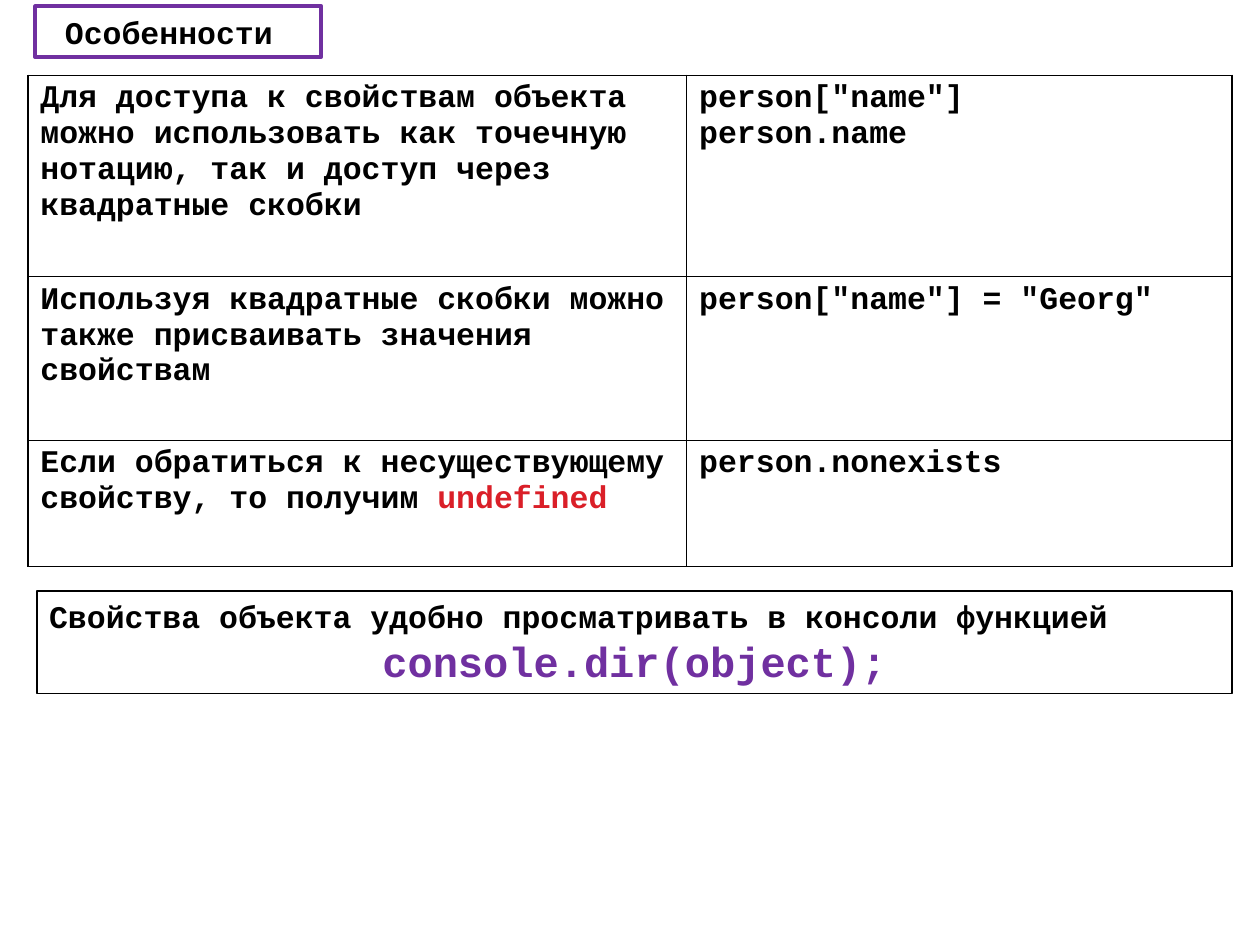
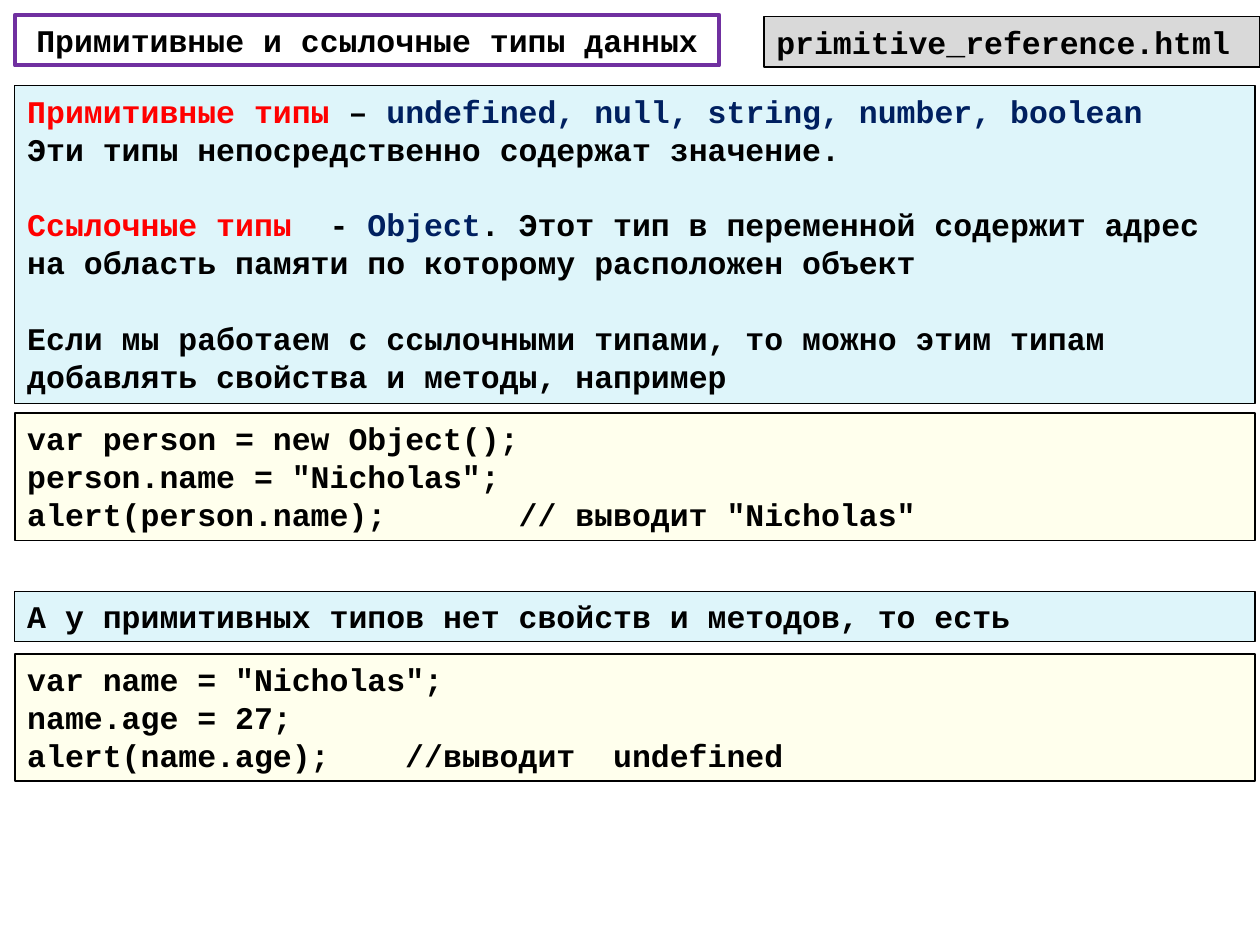
from lxml.etree import SubElement
from pptx import Presentation
from pptx.dml.color import RGBColor
from pptx.enum.shapes import MSO_SHAPE
from pptx.enum.text import MSO_ANCHOR, PP_ALIGN
from pptx.oxml.ns import qn
from pptx.util import Cm, Pt

COLORS = {
    "black": "000000", "white": "FFFFFF", "purple": "7030A0", "red": "FF0000",
    "crimson": "DA1F28", "navy": "002060", "pale_blue": "DEF5FA",
    "yellow": "FFFF00", "gray": "D9D9D9",
}
FONT = {"name": "Courier New", "bold": True}
FRAME = {"word_wrap": True, "vertical_anchor": MSO_ANCHOR.TOP}
PLAIN_TABLE = {"first_row": False, "horz_banding": False}
BODY_SIZE = 18
LINE_FACTOR = 1.2
CHARACTER_WIDTH = 0.381

BOX_STYLES = {
    "title": {"fill": None, "line": "purple", "width": 2.25},
    "file": {"fill": "gray", "line": "black", "width": 0.75},
    "theory": {"fill": "pale_blue", "line": "black", "width": 0.75},
    "code": {"fill": "yellow", "line": "black", "width": 1, "opacity": 7},
    "note": {"fill": "white", "line": "black", "width": 1},
}


def color(name):
    return RGBColor.from_string(COLORS[name])


def set_values(target, values):
    for name, value in values.items():
        setattr(target, name, value)


def add_tab_stops(para, columns):
    stops = SubElement(para._p.get_or_add_pPr(), qn("a:tabLst"))
    for column in columns:
        position = str(int(Cm(column * CHARACTER_WIDTH)))
        SubElement(stops, qn("a:tab"), pos=position, algn="l")


def write_para(para, content, align=PP_ALIGN.LEFT, spread=True):
    if isinstance(content, str):
        content = {"spans": [(content, "black")]}
    size = content.get("size", BODY_SIZE)
    layout = {"alignment": content.get("align", align),
              "space_before": Pt(content.get("before", 0))}
    if spread:
        layout["line_spacing"] = Pt(size * LINE_FACTOR)
    set_values(para, layout)
    if "tabs" in content:
        add_tab_stops(para, content["tabs"])
    for text, tint in content["spans"]:
        span = para.add_run()
        span.text = text
        set_values(span.font, {**FONT, "size": Pt(size)})
        span.font.color.rgb = color(tint)


def write_text(frame, contents, **options):
    for index, content in enumerate(contents):
        para = frame.add_paragraph() if index else frame.paragraphs[0]
        write_para(para, content, **options)


def add_box(page, style_name, place, contents, **options):
    style = BOX_STYLES[style_name]
    box = page.shapes.add_shape(MSO_SHAPE.RECTANGLE, *map(Cm, place))
    box.shadow.inherit = False
    if style["fill"]:
        box.fill.solid()
        box.fill.fore_color.rgb = color(style["fill"])
    else:
        box.fill.background()
    if "opacity" in style:
        tint = box.fill._xPr.find(qn("a:solidFill"))[0]
        SubElement(tint, qn("a:alpha"), val=str(style["opacity"] * 1000))
    box.line.color.rgb = color(style["line"])
    box.line.width = Pt(style["width"])
    set_values(box.text_frame, FRAME)
    write_text(box.text_frame, contents, **options)


def add_title(page, place, text):
    add_box(page, "title", place, [text], align=PP_ALIGN.CENTER)


def add_cell_borders(cell):
    properties = cell._tc.get_or_add_tcPr()
    for index, side in enumerate(("lnL", "lnR", "lnT", "lnB")):
        line = properties.makeelement(qn(f"a:{side}"), {"w": str(int(Pt(1)))})
        properties.insert(index, line)
        fill = SubElement(line, qn("a:solidFill"))
        SubElement(fill, qn("a:srgbClr"), val=COLORS["black"])


def add_grid(page, left, top, widths, heights, rows):
    place = map(Cm, (left, top, sum(widths), sum(heights)))
    table = page.shapes.add_table(len(heights), len(widths), *place).table
    set_values(table, PLAIN_TABLE)
    for column, width in zip(table.columns, widths):
        column.width = Cm(width)
    for row, height, contents in zip(table.rows, heights, rows):
        row.height = Cm(height)
        for cell, paras in zip(row.cells, contents):
            cell.fill.background()
            add_cell_borders(cell)
            write_text(cell.text_frame, paras, spread=False)


def build_features(page):
    add_box(page, "note", (0.74, 11.92, 24.1, 2.06), [
        "Свойства объекта удобно просматривать в консоли функцией ",
        {"spans": [("console.dir(object);", "purple")], "size": 24,
         "align": PP_ALIGN.CENTER},
    ])
    add_grid(page, 0.56, 1.52, (13.28, 11), (4.06, 3.3, 2.54), [
        (["Для доступа к свойствам объекта можно использовать как точечную "
          "нотацию, так и доступ через квадратные скобки"],
         ['person["name"]', "person.name"]),
        (["Используя квадратные скобки можно также присваивать значения "
          "свойствам "],
         ['person["name"] = "Georg"']),
        ([{"spans": [("Если обратиться к несуществующему свойству, то получим ",
                      "black"), ("undefined", "crimson")]}],
         ["person.nonexists"]),
    ])
    add_title(page, (0.71, 0.13, 5.77, 1.02), "Особенности ")


def build_types(page):
    left, width = 0.3, 25
    blank_line = BODY_SIZE * LINE_FACTOR
    add_title(page, (left, 0.3, 14.2, 1.02), "Примитивные и ссылочные типы данных")
    add_box(page, "file", (15.4, 0.33, 10, 1.02), ["primitive_reference.html"])
    add_box(page, "theory", (left, 1.73, width, 6.4), [
        {"spans": [("Примитивные типы ", "red"), ("– ", "black"),
                   ("undefined, null, string, number, boolean", "navy")]},
        "Эти типы непосредственно содержат значение.",
        {"spans": [("Cсылочные типы\t", "red"), ("- ", "black"),
                   ("Object", "navy"),
                   (". Этот тип в переменной содержит адрес на область памяти "
                    "по которому расположен объект", "black")],
         "tabs": [16], "before": blank_line},
        {"spans": [("Если мы работаем с ссылочными типами, то можно этим типам "
                    "добавлять свойства и методы, например", "black")],
         "before": blank_line},
    ])
    add_box(page, "code", (left, 8.33, width, 2.57), [
        "var person = new Object();",
        'person.name = "Nicholas";',
        {"spans": [('alert(person.name);\t// выводит "Nicholas"', "black")],
         "tabs": [26]},
    ])
    add_box(page, "theory", (left, 11.92, width, 1.02),
            ["А у примитивных типов нет свойств и методов, то есть"])
    add_box(page, "code", (left, 13.18, width, 2.57), [
        'var name = "Nicholas";',
        "name.age = 27;",
        {"spans": [("alert(name.age);\t//выводит\tundefined", "black")],
         "tabs": [20, 31]},
    ])


def main():
    deck = Presentation()
    set_values(deck, {"slide_width": Cm(25.4), "slide_height": Cm(19.05)})
    for build in (build_features, build_types):
        build(deck.slides.add_slide(deck.slide_layouts[6]))
    deck.save("out.pptx")


main()
